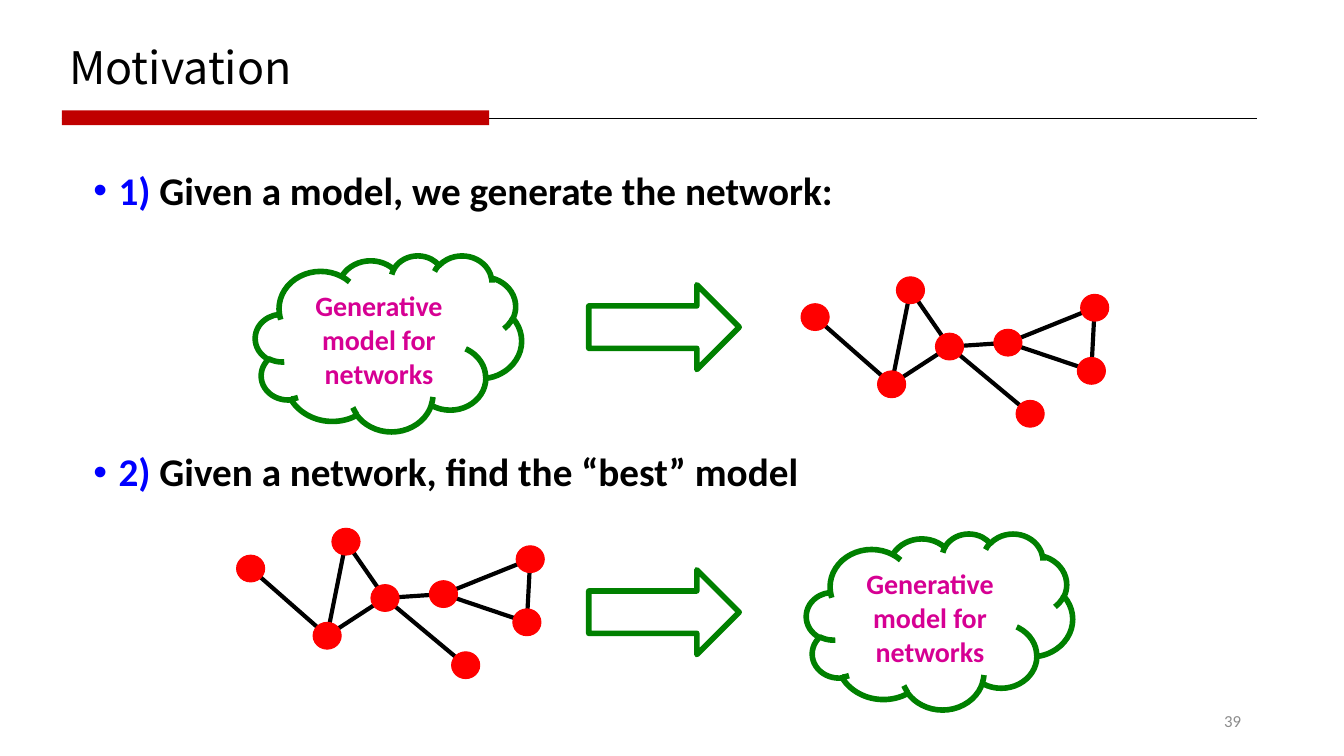
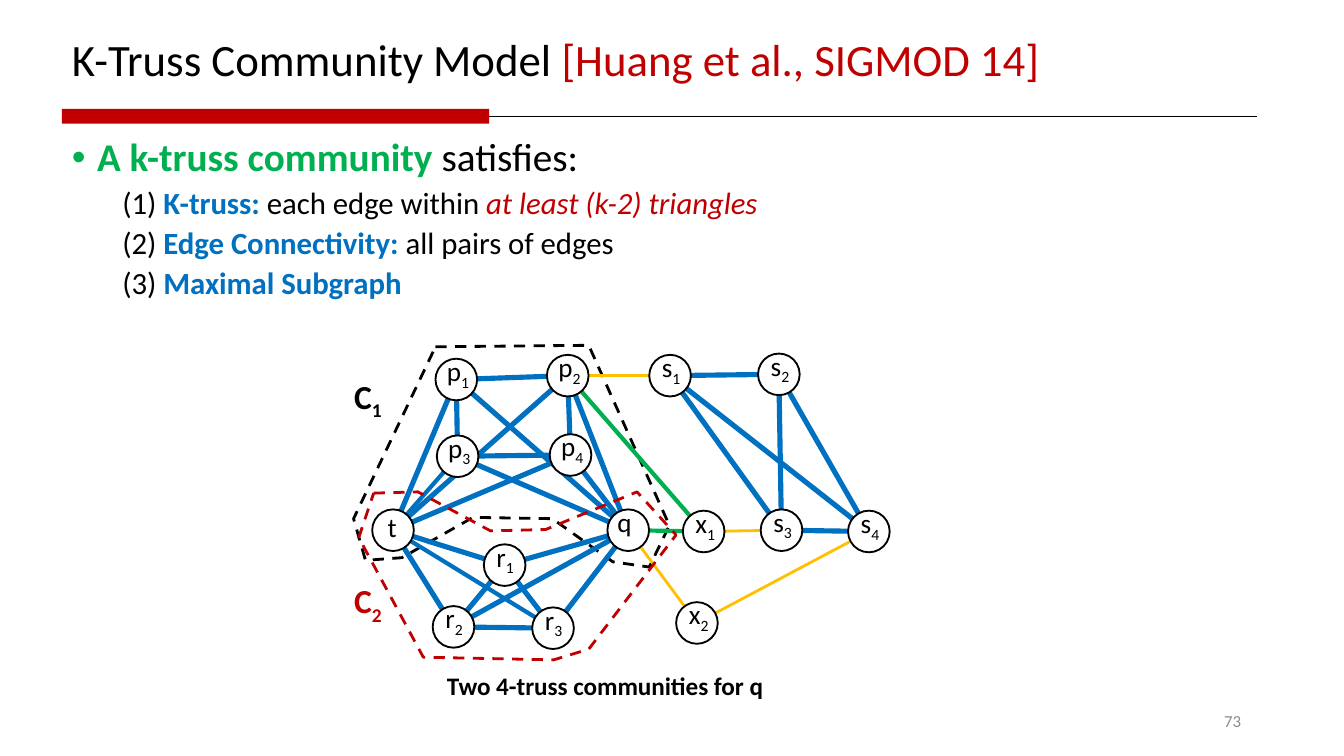
from collections import namedtuple
from dataclasses import dataclass

from lxml.etree import SubElement
from pptx import Presentation
from pptx.dml.color import RGBColor
from pptx.enum.dml import MSO_LINE
from pptx.enum.shapes import MSO_CONNECTOR, MSO_SHAPE as Shape
from pptx.enum.text import MSO_ANCHOR as Anchor, PP_ALIGN as Align
from pptx.oxml.ns import qn
from pptx.util import Pt


@dataclass(frozen=True)
class Theme:
    font: str = "Calibri"
    title_font: str = "Noto Sans CJK SC"
    black: str = "000000"
    white: str = "FFFFFF"
    crimson: str = "C00000"
    red: str = "FF0000"
    number_blue: str = "0000FF"
    blue: str = "0070C0"
    green: str = "00B050"
    dark_green: str = "008000"
    yellow: str = "FFC000"
    magenta: str = "D60093"
    gray: str = "8C8C8C"
    title: float = 24
    body: float = 21
    item: float = 16.5
    cloud: float = 15
    node: float = 14.5
    community: float = 18
    caption: float = 13.5
    footer: float = 9


THEME = Theme()
Span = namedtuple("Span", "text color bold italic baseline", defaults=(THEME.black, False, False, 0))

NETWORK_NODE = (15.1, 14.4)
NETWORK_NODES = [(41, 50.4), (0, 14.4), (51.1, 0), (72, 30.2),
                 (103.3, 28.1), (115.2, 66.2), (149.8, 9.4), (148, 43.2)]
NETWORK_EDGES = [(7, 6), (1, 0), (0, 2), (4, 6), (4, 7), (3, 4), (3, 5), (3, 2), (0, 3)]

TRUSS_NODE = 22.3
TRUSS_NODES = {
    "t": (199.4, 272.9), "q": (325.4, 272.9),
    "s2": (406.1, 189.4), "s3": (407.5, 272.9), "s1": (347.8, 190.1), "s4": (454.3, 273.6),
    "x2": (362.2, 322.6), "x1": (365.8, 273.6),
    "p1": (233.3, 192.2), "p3": (234, 233.3), "p2": (293, 190.1), "p4": (294.5, 232.6),
    "r2": (231.8, 324.7), "r1": (259.2, 291.6), "r3": (285.1, 325.4),
}
LABEL_SHIFTS = {"t": (2.9, -2.2), "q": (0, -5), "p": (0.7, -5)}
TRUSS_EDGES = [
    (THEME.blue, 2.75, "t-r2 r2-r3 r2-r1 r1-r3 t-r1 r1-q r2-q r3-q t-p1 t-p2 t-p4 p1-p2 p3-p4 "
                       "s1-s2 s3-s4 p1-p3 p2-p4 s1-s3 s2-s4 s1-s4 s2-s3 p1-q p2-q p4-q p3-q"),
    (THEME.blue, 2.25, "t-p3 t-r3"),
    (THEME.yellow, 1.5, "p2-s1 x1-s3 q-x2 x2-s4"),
    (THEME.green, 2.25, "q-x1 p2-x1"),
]
FIRST_COMMUNITY = [(233.3, 185.8), (315.4, 185), (358.6, 281.5), (347.8, 303.8), (328.3, 301),
                   (295.9, 277.9), (253.4, 277.2), (215.3, 298.8), (195.8, 300.2), (189.4, 277.9)]
SECOND_COMMUNITY = [(200.2, 264.2), (223.9, 263.5), (262.8, 284.4), (292.3, 283.7), (341.3, 263.5),
                    (362.2, 286.6), (315.4, 347.8), (296.6, 353.5), (226.8, 352.1), (192.2, 288)]


def rgb(color):
    return RGBColor.from_string(color)


def write(para, spans, size, font=THEME.font):
    for part in spans:
        span = para.add_run()
        span.text = part.text
        span.font.name = font
        span.font.size = Pt(size)
        span.font.bold = part.bold
        span.font.italic = part.italic
        span.font.color.rgb = rgb(part.color)
        if part.baseline:
            span._r.get_or_add_rPr().set("baseline", str(part.baseline * 1000))


def set_frame(shape, anchor, wrap=True):
    frame = shape.text_frame
    frame.word_wrap = wrap
    frame.vertical_anchor = anchor
    frame.margin_left = frame.margin_right = Pt(5.4)
    frame.margin_top = frame.margin_bottom = Pt(2.7)
    return frame


def add_text(page, place, spans=(), size=THEME.body, font=THEME.font,
             anchor=Anchor.TOP, align=Align.LEFT, wrap=True, spacing=None):
    box = page.shapes.add_textbox(*map(Pt, place))
    frame = set_frame(box, anchor, wrap)
    para = frame.paragraphs[0]
    para.alignment = align
    para.line_spacing = spacing
    write(para, spans, size, font)
    return frame


def add_body_line(frame, spans, size, before=0, bullet=True):
    first = not frame.paragraphs[0].runs
    para = frame.paragraphs[0] if first else frame.add_paragraph()
    para.level = 0 if bullet else 1
    properties = para._p.get_or_add_pPr()
    properties.set("marL", str(Pt(13.5 if bullet else 27)))
    properties.set("indent", str(Pt(-13.5 if bullet else 0)))
    if bullet:
        SubElement(properties, qn("a:buFont"), typeface="Arial")
        SubElement(properties, qn("a:buChar"), char="•")
    else:
        SubElement(properties, qn("a:buNone"))
    para.line_spacing = 0.9
    para.space_before = Pt(before)
    write(para, spans, size)


def style(shape, fill=None, line=None, width=1):
    shape.shadow.inherit = False
    if fill:
        shape.fill.solid()
        shape.fill.fore_color.rgb = rgb(fill)
    else:
        shape.fill.background()
    if line:
        shape.line.color.rgb = rgb(line)
        shape.line.width = Pt(width)
    else:
        shape.line.fill.background()


def add_shape(page, kind, place, **look):
    shape = page.shapes.add_shape(kind, *map(Pt, place))
    style(shape, **look)
    return shape


def add_line(page, start, end, color, width):
    line = page.shapes.add_connector(MSO_CONNECTOR.STRAIGHT, *map(Pt, (*start, *end)))
    line.line.color.rgb = rgb(color)
    line.line.width = Pt(width)
    SubElement(line._element.spPr, qn("a:effectLst"))


def add_frame(page, title_place, spans, font, anchor, rule_y, number):
    add_line(page, (33.1, rule_y), (673.2, rule_y), THEME.black, 0.5)
    add_shape(page, Shape.RECTANGLE, (33.1, rule_y - 4.3, 229, 7.9), fill=THEME.crimson)
    add_text(page, title_place, spans, THEME.title, font, anchor, spacing=0.9)
    add_text(page, (508.3, 375.1, 162, 21.6), [Span(number, THEME.gray)], THEME.footer,
             anchor=Anchor.MIDDLE, align=Align.RIGHT)


def add_arrow(page, top):
    add_shape(page, Shape.RIGHT_ARROW, (315.4, top, 80.6, 45.4), line=THEME.dark_green, width=3)


def add_cloud(page, left, top):
    cloud = add_shape(page, Shape.CLOUD, (left, top, 142.6, 94.3), line=THEME.dark_green, width=3)
    para = set_frame(cloud, Anchor.MIDDLE).paragraphs[0]
    para.alignment = Align.CENTER
    write(para, [Span("Generative model for networks", THEME.magenta, True)], THEME.cloud)


def add_network(page, left, top):
    width, height = NETWORK_NODE
    corners = [(left + x, top + y) for x, y in NETWORK_NODES]
    centers = [(x + width / 2, y + height / 2) for x, y in corners]
    for start, end in NETWORK_EDGES:
        add_line(page, centers[start], centers[end], THEME.black, 2.25)
    for corner in corners:
        add_shape(page, Shape.OVAL, (*corner, width, height), fill=THEME.red, line=THEME.red, width=0.5)


def add_community(page, points, color):
    start, *others = [tuple(map(Pt, point)) for point in points]
    builder = page.shapes.build_freeform(*start)
    builder.add_line_segments(others, close=True)
    outline = builder.convert_to_shape()
    style(outline, line=color, width=1.5)
    outline.line.dash_style = MSO_LINE.DASH


def subscripted(name, drop, color=THEME.black, bold=False):
    spans = [Span(name[0], color, bold)]
    if name[1:]:
        spans.append(Span(name[1:], color, bold, baseline=drop))
    return spans


def add_truss_node(page, name):
    x, y = TRUSS_NODES[name]
    shift_x, shift_y = LABEL_SHIFTS.get(name[0], (1.4, -5))
    add_shape(page, Shape.OVAL, (x, y, TRUSS_NODE, TRUSS_NODE),
              fill=THEME.white, line=THEME.black, width=1)
    add_text(page, (x + shift_x, y + shift_y, 28.8 if name[0] == "p" else 25.9, 25.2),
             subscripted(name, -24), THEME.node)


def add_truss_edges(page):
    centers = {name: (x + TRUSS_NODE / 2, y + TRUSS_NODE / 2) for name, (x, y) in TRUSS_NODES.items()}
    for color, width, pairs in TRUSS_EDGES:
        for pair in pairs.split():
            start, end = pair.split("-")
            add_line(page, centers[start], centers[end], color, width)


def build_motivation(page):
    add_frame(page, (31.7, 0.7, 479.5, 52.6), [Span("Motivation")],
              THEME.title_font, Anchor.BOTTOM, 63.4, "39")
    body = add_text(page, (44.6, 89.3, 620.6, 257))
    for number, text, before in [("1) ", "Given a model, we generate the network:", 0),
                                 ("2) ", "Given a network, find the “best” model", 128)]:
        add_body_line(body, [Span(number, THEME.number_blue, True), Span(text, bold=True)],
                      THEME.body, before)
    add_cloud(page, 136.8, 136.8)
    add_arrow(page, 152.6)
    add_network(page, 429.1, 148.3)
    add_network(page, 126.7, 283)
    add_arrow(page, 305.3)
    add_cloud(page, 432, 285.8)


def build_truss(page):
    add_frame(page, (33.1, -0.7, 686.9, 67.7),
              [Span("K-Truss Community Model "), Span("[Huang et al., SIGMOD 14]", THEME.crimson)],
              THEME.font, Anchor.MIDDLE, 62.6, "73")
    body = add_text(page, (33.1, 71.3, 620.6, 257))
    add_body_line(body, [Span("A k-truss community ", THEME.green, True), Span("satisfies:")], THEME.body)
    items = [
        [Span("(1) "), Span("K-truss: ", THEME.blue, True), Span("each edge within "),
         Span("at least (k-2) triangles", THEME.crimson, italic=True)],
        [Span("(2) "), Span("Edge Connectivity: ", THEME.blue, True), Span("all pairs of edges")],
        [Span("(3) "), Span("Maximal Subgraph", THEME.blue, True)],
    ]
    for spans in items:
        add_body_line(body, spans, THEME.item, 3.8, bullet=False)
    add_community(page, FIRST_COMMUNITY, THEME.black)
    add_truss_edges(page)
    for name in TRUSS_NODES:
        add_truss_node(page, name)
    for name, top, color in [("C1", 198.7, THEME.black), ("C2", 308.2, THEME.crimson)]:
        add_text(page, (184.3, top, 30.2, 28.8), subscripted(name, -25, color, True),
                 THEME.community, wrap=False)
    add_text(page, (234, 356.4, 185.8, 23.8), [Span("Two 4-truss communities for q", bold=True)],
             THEME.caption, wrap=False)
    add_community(page, SECOND_COMMUNITY, THEME.crimson)


def main():
    deck = Presentation()
    deck.slide_width, deck.slide_height = Pt(720), Pt(405)
    for build in (build_motivation, build_truss):
        build(deck.slides.add_slide(deck.slide_layouts[6]))
    deck.save("out.pptx")


if __name__ == "__main__":
    main()
